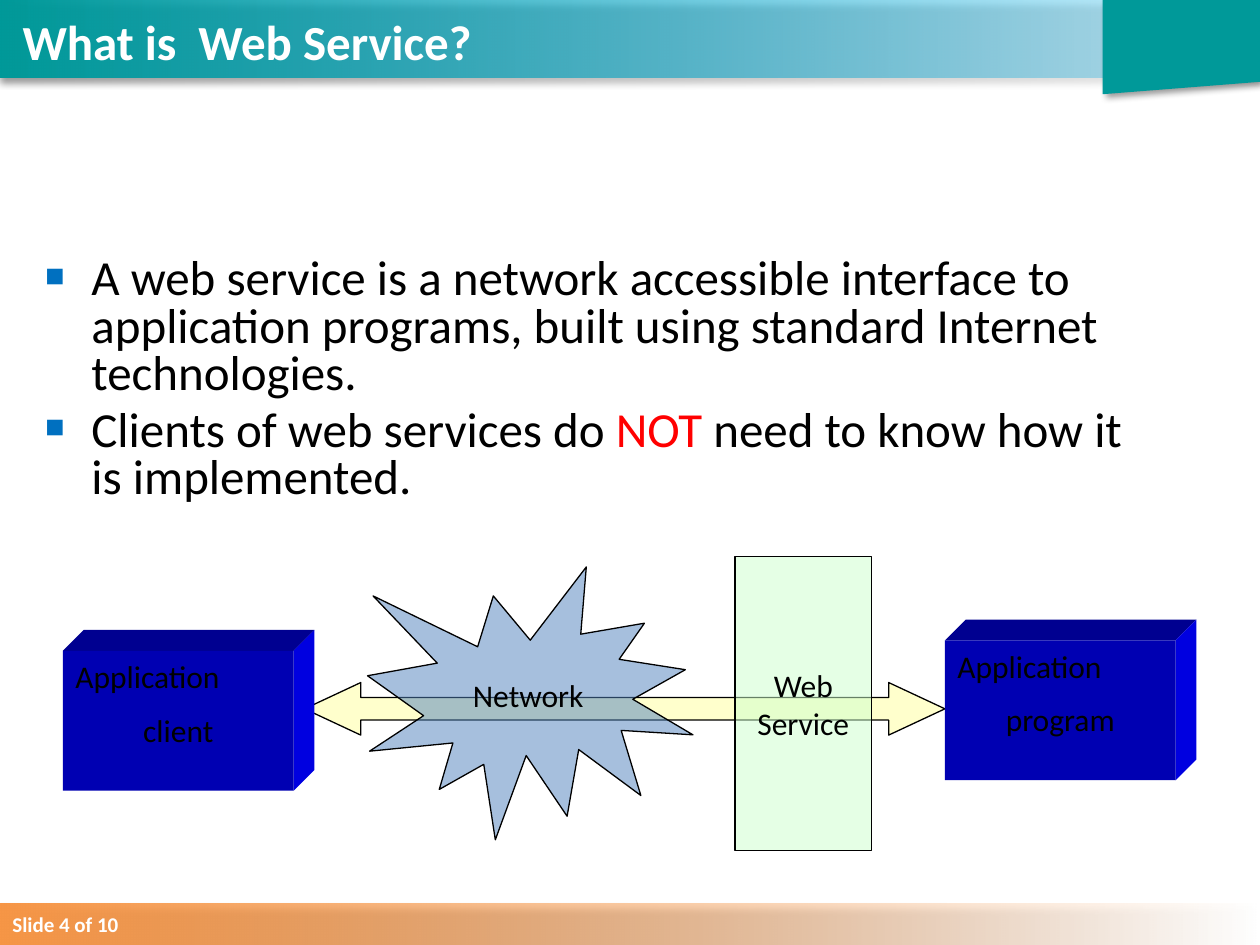
from lxml import etree
from pptx import Presentation
from pptx import util as u
from pptx.dml.color import RGBColor
from pptx.enum import shapes, text
from pptx.oxml import ns

FONT = "Calibri"
BLACK = RGBColor(0x00, 0x00, 0x00)
WHITE = RGBColor(0xFF, 0xFF, 0xFF)
RED = RGBColor(0xFF, 0x00, 0x00)
TEAL = RGBColor(0x00, 0x99, 0x99)
SKY = RGBColor(0x00, 0xB0, 0xF0)
ORANGE = RGBColor(0xF7, 0x96, 0x46)
CREAM = RGBColor(0xFF, 0xFF, 0xCC)
STEEL = RGBColor(0x4F, 0x81, 0xBD)
MINT = RGBColor(0xCC, 0xFF, 0xCC)
BULLET = RGBColor(0x00, 0x70, 0xC0)
BOX_FRONT = RGBColor(0x00, 0x00, 0xB2)
BOX_TOP = RGBColor(0x00, 0x00, 0x90)
BOX_SIDE = RGBColor(0x00, 0x00, 0xE0)

BOX_WIDTH, BOX_HEIGHT, BOX_DEPTH = 4.65, 2.82, 0.42


def add_child(parent, tag, **attributes):
    child = etree.SubElement(parent, ns.qn(tag))
    for name, value in attributes.items():
        child.set(name, str(value))
    return child


def set_opacity(color_element, percent):
    add_child(color_element, "a:alpha", val=percent * 1000)


def set_solid(shape, color, opacity=100):
    shape.fill.solid()
    shape.fill.fore_color.rgb = color
    if opacity < 100:
        set_opacity(shape.element.spPr.find(".//" + ns.qn("a:srgbClr")), opacity)


def set_outline(shape, color=None):
    if color is None:
        shape.line.fill.background()
    else:
        shape.line.color.rgb = color
        shape.line.width = u.Pt(0.75)


def add_drop_shadow(shape, degrees):
    effects = shape.element.spPr.find(ns.qn("a:effectLst"))
    shadow = add_child(effects, "a:outerShdw", blurRad=u.Pt(4), dist=u.Pt(3),
                       dir=degrees * 60000, algn="t", rotWithShape=0)
    set_opacity(add_child(shadow, "a:srgbClr", val=BLACK), 40)


def add_run(paragraph, words, size, color=BLACK, bold=False):
    run = paragraph.add_run()
    run.text = words
    run.font.name = FONT
    run.font.size = u.Pt(size)
    run.font.bold = bold
    run.font.color.rgb = color


def add_preset(slide, kind, left, top, width, height):
    shape = slide.shapes.add_shape(kind, u.Cm(left), u.Cm(top), u.Cm(width), u.Cm(height))
    shape.shadow.inherit = False
    set_outline(shape)
    return shape


def add_polygon(slide, points, color):
    corners = [(u.Cm(x), u.Cm(y)) for x, y in points]
    builder = slide.shapes.build_freeform(*corners[0])
    builder.add_line_segments(corners[1:], close=True)
    shape = builder.convert_to_shape()
    shape.shadow.inherit = False
    set_solid(shape, color)
    set_outline(shape)
    return shape


def add_gradient_band(slide, top, height, start, end, end_opacity):
    band = add_preset(slide, shapes.MSO_SHAPE.RECTANGLE, 0, top, 25.4, height)
    band.fill.gradient()
    band.fill.gradient_angle = 0
    for stop, color, position in zip(band.fill.gradient_stops, (start, end), (0, 1)):
        stop.color.rgb = color
        stop.position = position
    set_opacity(band.element.spPr.findall(".//" + ns.qn("a:srgbClr"))[-1], end_opacity)
    add_drop_shadow(band, 90)


def add_slide_counter(slide):
    box = slide.shapes.add_textbox(u.Cm(0), u.Cm(18.26), u.Cm(3.39), u.Cm(0.77))
    box.text_frame.word_wrap = True
    add_run(box.text_frame.paragraphs[0], "Slide 4 of 10", 12, WHITE, True)


def place_placeholder(placeholder, left, top, width, height):
    placeholder.left, placeholder.top = u.Cm(left), u.Cm(top)
    placeholder.width, placeholder.height = u.Cm(width), u.Cm(height)
    frame = placeholder.text_frame
    frame.auto_size = text.MSO_AUTO_SIZE.NONE
    frame.vertical_anchor = text.MSO_ANCHOR.TOP
    return frame


def fill_title(slide):
    frame = place_placeholder(slide.shapes.title, 0.2, 0.1, 22.86, 1.35)
    paragraph = frame.paragraphs[0]
    paragraph.alignment = text.PP_ALIGN.LEFT
    add_run(paragraph, "What is  Web Service?", 28, WHITE, True)


def set_square_bullet(paragraph):
    properties = paragraph._p.get_or_add_pPr()
    properties.set("marL", str(u.Cm(0.95)))
    properties.set("indent", str(u.Cm(-0.95)))
    add_child(add_child(properties, "a:buClr"), "a:srgbClr", val=BULLET)
    add_child(properties, "a:buSzPct", val=125000)
    add_child(properties, "a:buFont", typeface=FONT)
    add_child(properties, "a:buChar", char="▪")


def fill_body(slide):
    frame = place_placeholder(slide.placeholders[1], 0.64, 5.08, 22.86, 5.5)
    items = [
        [("A web service is a network accessible interface to application programs, "
          "built using standard Internet technologies.", BLACK)],
        [("Clients of web services do ", BLACK), ("NOT", RED),
         (" need to know how it is implemented.", BLACK)],
    ]
    for index, runs in enumerate(items):
        paragraph = frame.add_paragraph() if index else frame.paragraphs[0]
        paragraph.line_spacing = 0.8
        paragraph.space_before = u.Pt(5.6)
        set_square_bullet(paragraph)
        for words, color in runs:
            add_run(paragraph, words, 28, color)


def add_application_box(slide, left, top, role):
    """Draw a block with a front, top and side face, labelled on the front."""
    right, bottom = left + BOX_WIDTH, top + BOX_HEIGHT
    back_right, back_top = right + BOX_DEPTH, top - BOX_DEPTH
    add_polygon(slide, [(left, top), (left + BOX_DEPTH, back_top),
                        (back_right, back_top), (right, top)], BOX_TOP)
    add_polygon(slide, [(right, top), (back_right, back_top),
                        (back_right, bottom - BOX_DEPTH), (right, bottom)], BOX_SIDE)
    front = add_preset(slide, shapes.MSO_SHAPE.RECTANGLE, left, top, BOX_WIDTH, BOX_HEIGHT)
    set_solid(front, BOX_FRONT)
    frame = front.text_frame
    frame.vertical_anchor = text.MSO_ANCHOR.TOP
    first, second = frame.paragraphs[0], frame.add_paragraph()
    first.alignment = text.PP_ALIGN.LEFT
    second.alignment = text.PP_ALIGN.CENTER
    second.space_before = u.Pt(9)
    add_run(first, "Application", 18)
    add_run(second, role, 18)


def add_translucent_node(slide, kind, bounds, color, lines):
    node = add_preset(slide, kind, *bounds)
    set_solid(node, color, 50)
    set_outline(node, BLACK)
    frame = node.text_frame
    frame.word_wrap = False
    frame.vertical_anchor = text.MSO_ANCHOR.MIDDLE
    for index, line in enumerate(lines):
        paragraph = frame.add_paragraph() if index else frame.paragraphs[0]
        paragraph.alignment = text.PP_ALIGN.CENTER
        add_run(paragraph, line, 18)


def add_double_arrow(slide):
    arrow = add_preset(slide, shapes.MSO_SHAPE.LEFT_RIGHT_ARROW, 6.14, 13.76, 12.91, 1.06)
    arrow.adjustments[0], arrow.adjustments[1] = 0.43, 1.07
    set_solid(arrow, CREAM)
    set_outline(arrow, BLACK)


def main():
    presentation = Presentation()
    presentation.slide_width, presentation.slide_height = u.Cm(25.4), u.Cm(19.05)
    slide = presentation.slides.add_slide(presentation.slide_layouts[1])
    add_gradient_band(slide, 0, 1.57, TEAL, SKY, 20)
    add_gradient_band(slide, 18.21, 0.84, ORANGE, ORANGE, 0)
    add_slide_counter(slide)
    corner = add_polygon(slide, [(22.23, 0), (25.4, 0), (25.4, 1.65), (22.23, 1.9)], TEAL)
    add_drop_shadow(corner, 45)
    fill_title(slide)
    # Bring the title in front of the header band
    slide.shapes.title.element.getparent().append(slide.shapes.title.element)
    fill_body(slide)
    add_double_arrow(slide)
    add_application_box(slide, 1.27, 13.12, "client")
    add_application_box(slide, 19.05, 12.91, "program")
    add_translucent_node(slide, shapes.MSO_SHAPE.EXPLOSION1, (7.41, 11.43, 6.56, 5.5),
                         STEEL, ["Network"])
    add_translucent_node(slide, shapes.MSO_SHAPE.RECTANGLE, (14.82, 11.22, 2.75, 5.93),
                         MINT, ["Web", "Service"])
    presentation.save("out.pptx")


if __name__ == "__main__":
    main()
